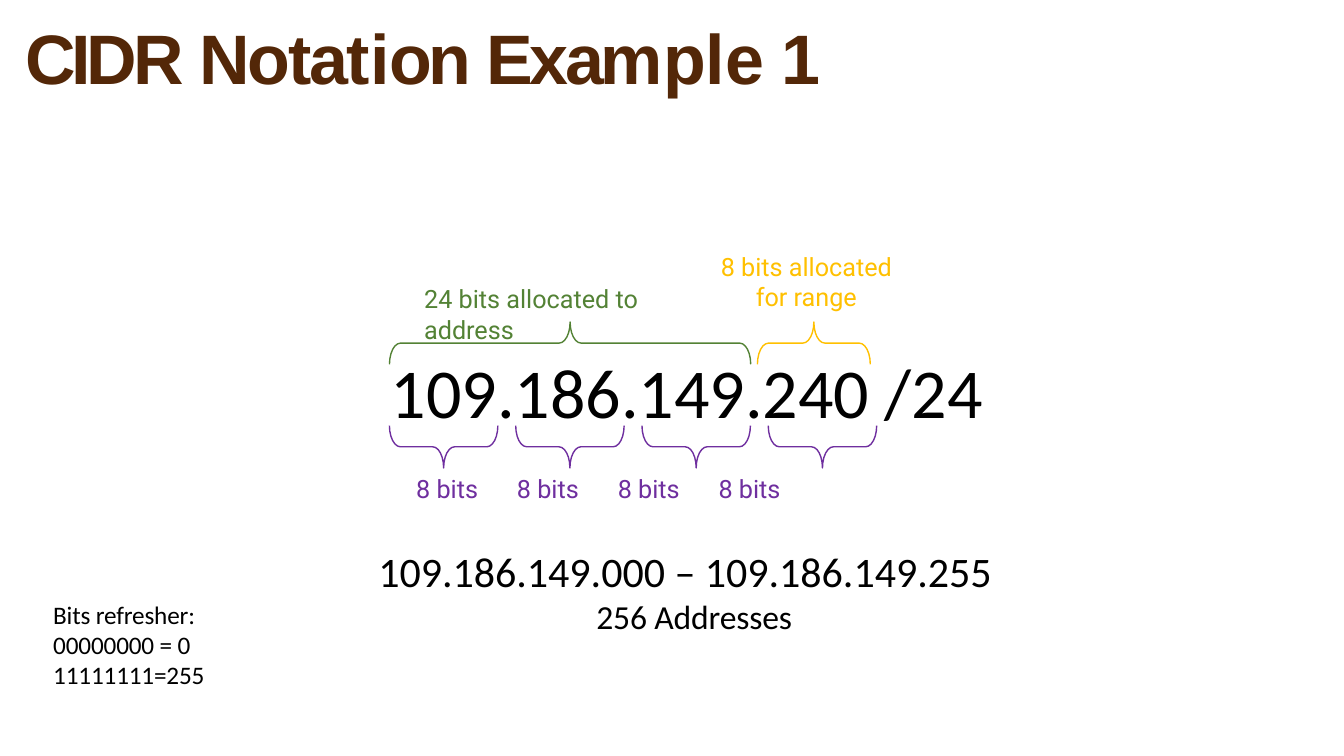
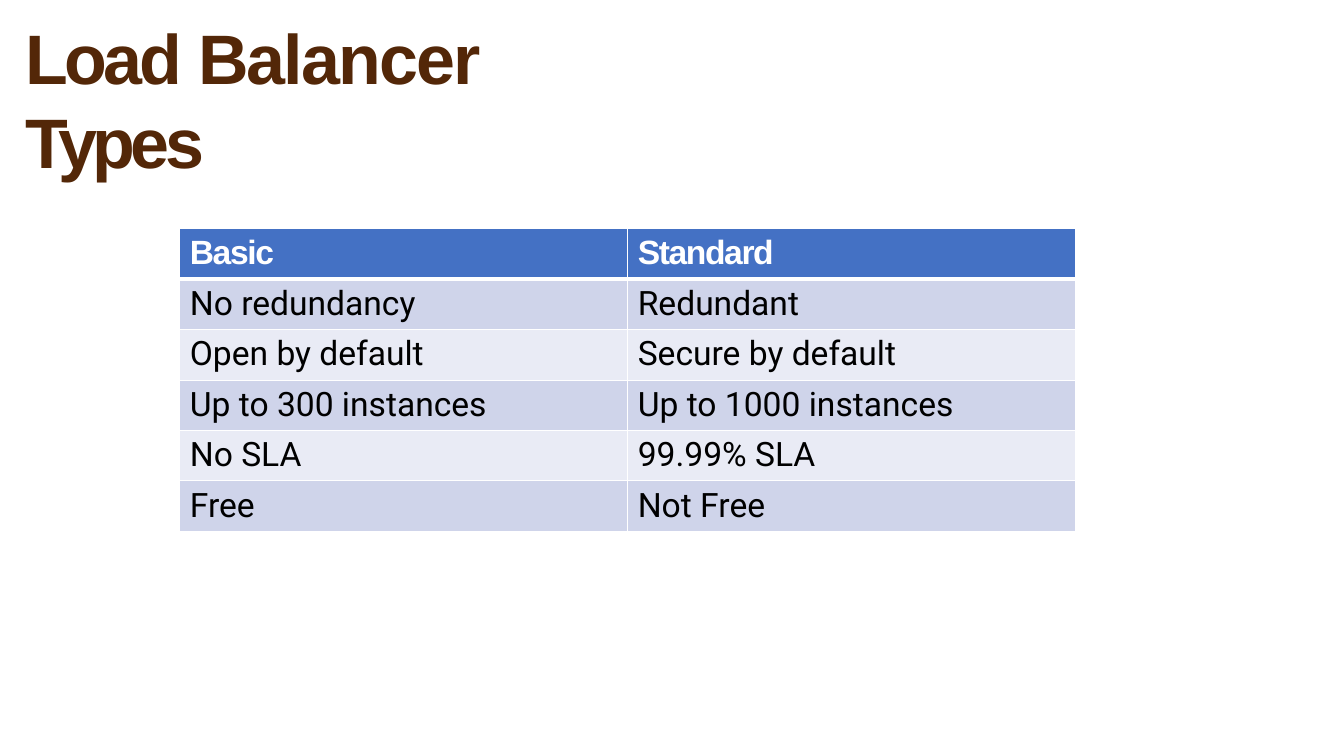
from lxml import etree
from pptx import Presentation
from pptx.dml.color import RGBColor
from pptx.enum.shapes import MSO_SHAPE
from pptx.enum.text import MSO_ANCHOR, MSO_AUTO_SIZE, PP_ALIGN
from pptx.oxml.ns import qn
from pptx.util import Pt

BRACE = MSO_SHAPE.LEFT_BRACE
TOP = MSO_ANCHOR.TOP
FIXED = MSO_AUTO_SIZE.NONE
LEFT, MID = PP_ALIGN.LEFT, PP_ALIGN.CENTER

BROWN, BLACK, WHITE = "532708", "000000", "FFFFFF"
PURPLE, GREEN, GOLD = "6F2F9F", "538235", "FFC000"
HEAD, BANDS = "4471C4", ("CFD4EA", "E9EBF5")

ROWS = [
    ("Basic", "Standard"),
    ("No redundancy", "Redundant"),
    ("Open by default", "Secure by default"),
    ("Up to 300 instances", "Up to 1000 instances"),
    ("No SLA", "99.99% SLA"),
    ("Free", "Not Free"),
]


def rgb(code):
    return RGBColor.from_string(code)


def write(par, text, size=18, font="Roboto", color=BLACK, bold=False,
          space=0, indent=0, before=0, align=LEFT, tabs=(), line=None):
    """Fill a paragraph; text is a string or a list of (string, spacing)."""
    props = par._p.get_or_add_pPr()
    props.set("marL", str(Pt(indent)))
    props.set("indent", "0")
    if tabs:
        stops = etree.SubElement(props, qn("a:tabLst"))
        for tab in tabs:
            etree.SubElement(stops, qn("a:tab"), pos=str(Pt(tab)), algn="l")
    par.alignment = align
    if before:
        par.space_before = Pt(before)
    if line:
        par.line_spacing = Pt(line)
    runs = [(text, space)] if isinstance(text, str) else text
    for words, gap in runs:
        run = par.add_run()
        run.text = words
        run.font.size = Pt(size)
        run.font.name = font
        run.font.bold = bold
        run.font.color.rgb = rgb(color)
        run._r.get_or_add_rPr().set("spc", str(round(gap * 100)))


def frame(shape):
    """Give a shape's text frame the shared plain layout."""
    area = shape.text_frame
    area.margin_left = area.margin_right = area.margin_bottom = 0
    area.margin_top = Pt(1)
    area.word_wrap = True
    area.auto_size = FIXED
    area.vertical_anchor = TOP
    return area


def box(slide, x, y, w, h, items, **style):
    """Add a text box; items are (text, own format) pairs."""
    area = frame(slide.shapes.add_textbox(Pt(x), Pt(y), Pt(w), Pt(h)))
    for i, (text, own) in enumerate(items):
        par = area.add_paragraph() if i else area.paragraphs[0]
        write(par, text, **{**style, **own})


def page(deck, width, runs, tabs=()):
    """Add a slide with its title."""
    slide = deck.slides.add_slide(deck.slide_layouts[5])
    title = slide.shapes.title
    title.left, title.top = Pt(17), Pt(9)
    title.width, title.height = Pt(width), Pt(62)
    write(frame(title).paragraphs[0], runs, size=50, font="Arial",
          color=BROWN, bold=True, indent=1, tabs=tabs, line=60)
    return slide


def brace(slide, x, y, w, color, turn):
    """Add a flat brace; turn 90 points it up, 270 down."""
    deep = 30.2
    shape = slide.shapes.add_shape(
        BRACE, Pt(x + (w - deep) / 2), Pt(y + (deep - w) / 2), Pt(deep), Pt(w))
    shape.rotation = turn
    shape.adjustments[0] = 0.26
    shape.shadow.inherit = False
    shape.fill.background()
    shape.line.color.rgb = rgb(color)
    shape.line.width = Pt(1)


def edge(cell, **widths):
    """Draw white cell borders, keyed by side in schema order."""
    props = cell._tc.get_or_add_tcPr()
    for side, width in widths.items():
        line = etree.SubElement(props, qn("a:ln" + side), w=str(Pt(width)))
        fill = etree.SubElement(line, qn("a:solidFill"))
        etree.SubElement(fill, qn("a:srgbClr"), val=WHITE)


def grid(slide, x, y, wide, high, rows):
    cols = len(rows[0])
    table = slide.shapes.add_table(
        len(rows), cols, Pt(x), Pt(y), Pt(wide * cols), Pt(high * len(rows))).table
    for r, row in enumerate(rows):
        table.rows[r].height = Pt(high)
        for c, text in enumerate(row):
            cell = table.cell(r, c)
            edge(cell, L=1, R=1, T=3 if r == 1 else 1, B=1 if r else 3)
            cell.fill.solid()
            cell.fill.fore_color.rgb = rgb(BANDS[(r - 1) % 2] if r else HEAD)
            cell.margin_left, cell.margin_top = Pt(7.2), Pt(3.6)
            cell.margin_right = cell.margin_bottom = 0
            style = {} if r else {"font": "Arial", "color": WHITE,
                                  "bold": True, "space": -1}
            write(cell.text_frame.paragraphs[0], text, size=24, **style)


def cidr(deck):
    slide = page(deck, 583, [
        ("CIDR ", -3), ("Notat", -1.4), ("i", -0.7), ("on ", -3), ("Exam", -2.4),
        ("p", -2), ("le\t", -0.2), ("1", 0)], tabs=[565])
    for i in range(4):
        brace(slide, 278.2 + 90.2 * i, 304, 77.4, PURPLE, 270)
    brace(slide, 278.2, 230, 258, GREEN, 90)
    brace(slide, 541, 230, 80.6, GOLD, 90)
    box(slide, 302, 201.6, 200, 44,
        [("24 bits allocated to address", {})], color=GREEN, indent=1)
    box(slide, 476, 178.6, 200, 44,
        [("8 bits allocated", {}), ("for range", {})], color=GOLD, align=MID)
    box(slide, 269.3, 248, 441, 206, [
        ("109.186.149.240 /24", {"size": 50, "indent": 10}),
        ("\t".join(["8 bits"] * 4), {
            "font": "Roboto", "size": 18, "color": PURPLE, "indent": 28,
            "before": 29, "tabs": [118, 208, 299]}),
        ("109.186.149.000 – 109.186.149.255",
         {"size": 30, "indent": 1, "before": 30}),
        ("256 Addresses",
         {"size": 24, "indent": 12, "align": MID, "space": -0.1}),
    ], font="Calibri")
    lines = ("Bits refresher:", "00000000 = 0", "11111111=255")
    box(slide, 37, 427, 112, 67, [(text, {}) for text in lines],
        font="Calibri", indent=1, space=-0.1)


def types(deck):
    slide = page(deck, 460, [("Load ", -2.5), ("Balancer ", -1.3), ("Types", -3.3)])
    grid(slide, 128.4, 163.5, 320, 36, ROWS)


def main():
    deck = Presentation()
    deck.slide_width, deck.slide_height = Pt(960), Pt(540)
    cidr(deck)
    types(deck)
    deck.save("out.pptx")


if __name__ == "__main__":
    main()
